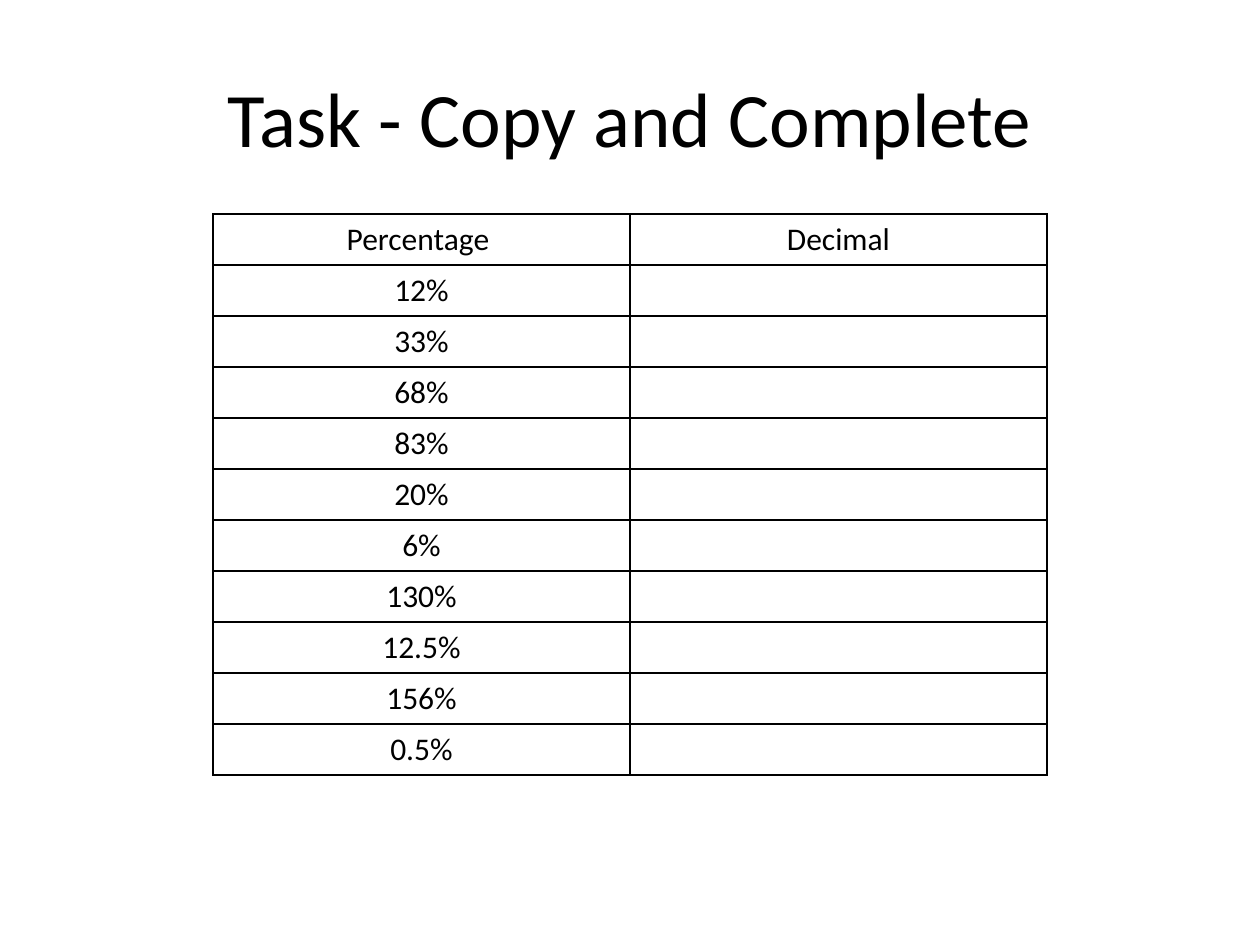
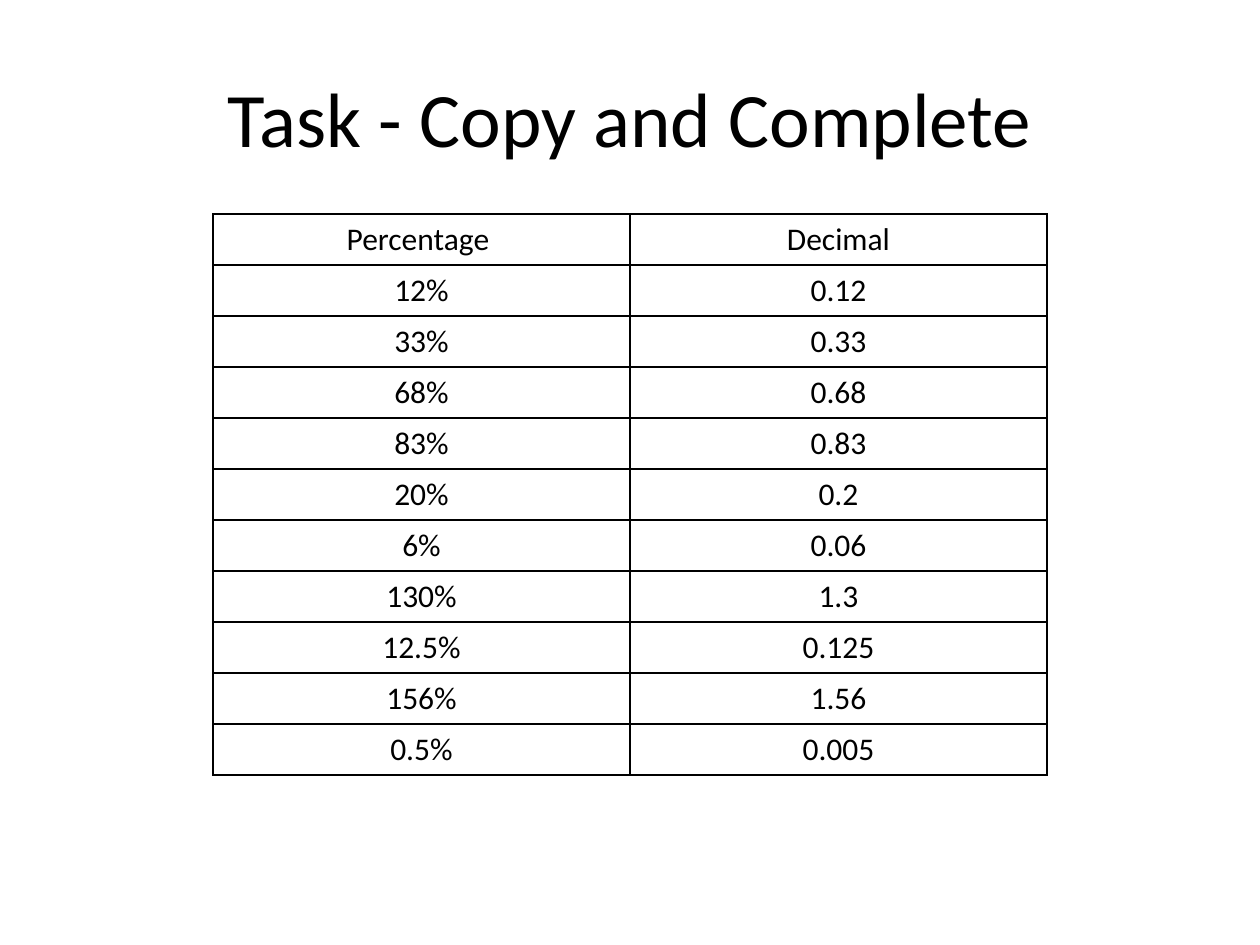
from lxml import etree
from pptx import Presentation
from pptx import util as u
from pptx.dml.color import RGBColor
from pptx.enum import text
from pptx.oxml.ns import qn

PX = u.Inches(1) / 126
FONT = "Calibri"
COLOURS = {"ink": "000000", "paper": "FFFFFF"}
BLANK_LAYOUT = 6

TITLE = "Task - Copy and Complete"
HEADINGS = ("Percentage ", "Decimal")
CONVERSIONS = (
    ("12%", "0.12"),
    ("33%", "0.33"),
    ("68%", "0.68"),
    ("83%", "0.83"),
    ("20%", "0.2"),
    ("6%", "0.06"),
    ("130%", "1.3"),
    ("12.5%", "0.125"),
    ("156%", "1.56"),
    ("0.5%", "0.005"),
)
COLUMN_WIDTH = 417
ROW_HEIGHT = 51


def px(length):
    return u.Emu(round(length * PX))


def write_centred(frame, words, size):
    frame.text = words
    para = frame.paragraphs[0]
    para.alignment = text.PP_ALIGN.CENTER
    for span in para.runs:
        span.font.name = FONT
        span.font.size = u.Pt(size)
        span.font.color.rgb = RGBColor.from_string(COLOURS["ink"])


def add_title(slide):
    box = slide.shapes.add_textbox(px(63), px(38), px(1134), px(158))
    frame = box.text_frame
    frame.word_wrap = True
    frame.vertical_anchor = text.MSO_ANCHOR.MIDDLE
    write_centred(frame, TITLE, 44)


def add_borders(cell):
    properties = cell._tc.get_or_add_tcPr()
    for side in ("lnL", "lnR", "lnT", "lnB"):
        line = etree.SubElement(properties, qn(f"a:{side}"), w=str(u.Pt(1)))
        fill = etree.SubElement(line, qn("a:solidFill"))
        etree.SubElement(fill, qn("a:srgbClr"), val=COLOURS["ink"])


def add_conversion_table(slide, show_answers):
    rows = [HEADINGS]
    for percentage, decimal in CONVERSIONS:
        rows.append((percentage, decimal if show_answers else ""))
    table = slide.shapes.add_table(
        len(rows), len(HEADINGS), px(213), px(214),
        px(COLUMN_WIDTH * len(HEADINGS)), px(ROW_HEIGHT * len(rows)),
    ).table
    table.first_row = False
    table.horz_banding = False
    for row, values in zip(table.rows, rows):
        for cell, value in zip(row.cells, values):
            add_borders(cell)
            cell.fill.background()
            write_centred(cell.text_frame, value, 18)


def add_task_slide(deck, show_answers):
    slide = deck.slides.add_slide(deck.slide_layouts[BLANK_LAYOUT])
    background = slide.background.fill
    background.solid()
    background.fore_color.rgb = RGBColor.from_string(COLOURS["paper"])
    add_title(slide)
    add_conversion_table(slide, show_answers)


def main():
    deck = Presentation()
    deck.slide_width = px(1260)
    deck.slide_height = px(945)
    for show_answers in (False, True):
        add_task_slide(deck, show_answers)
    deck.save("out.pptx")


if __name__ == "__main__":
    main()
